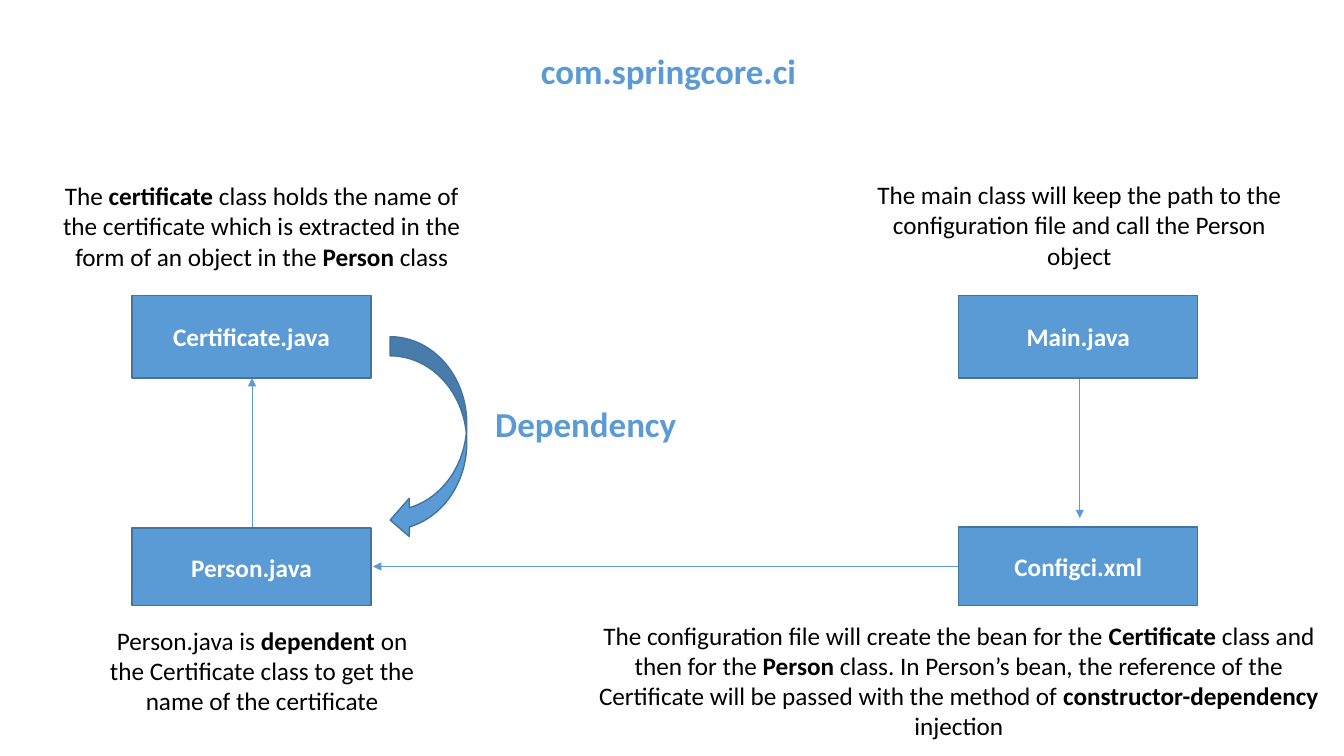
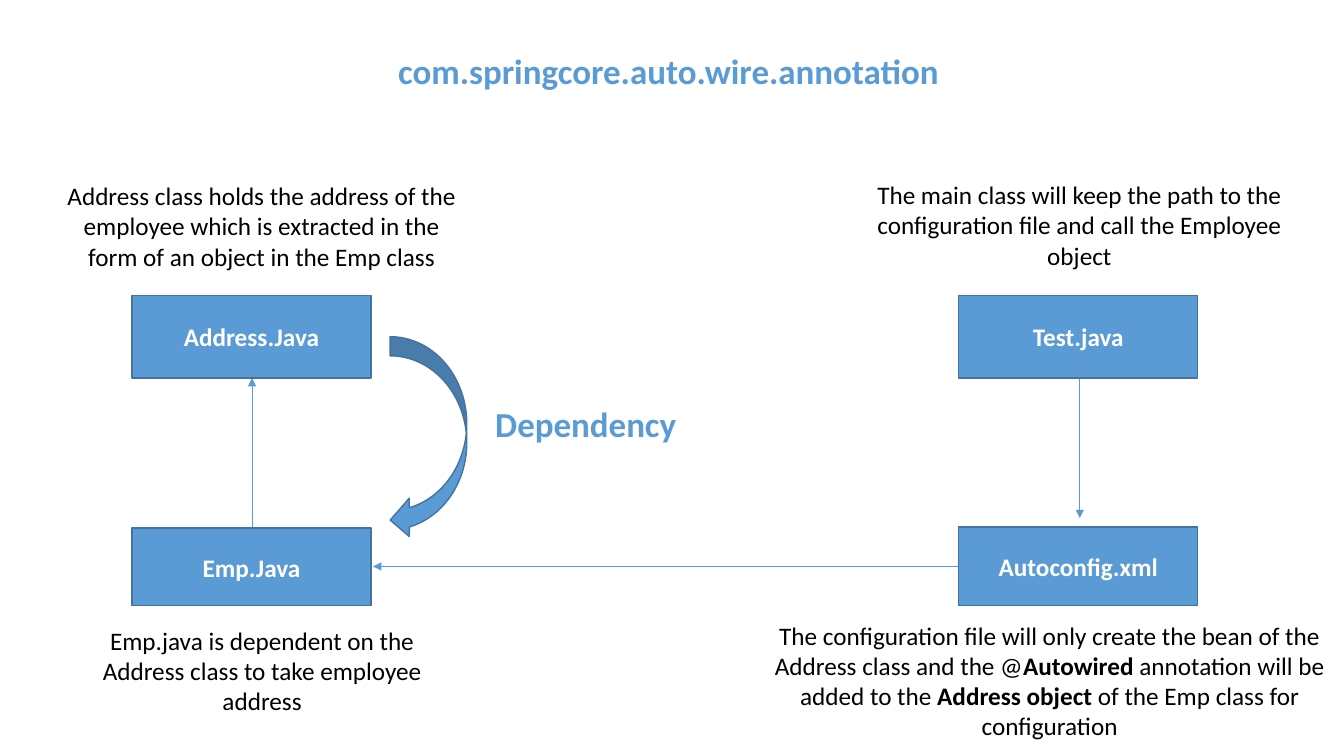
from dataclasses import dataclass

from lxml.etree import SubElement
from pptx import Presentation
from pptx.dml.color import RGBColor
from pptx.enum.shapes import MSO_CONNECTOR, MSO_SHAPE
from pptx.enum.text import MSO_ANCHOR, MSO_AUTO_SIZE, PP_ALIGN
from pptx.oxml.ns import qn
from pptx.shapes.autoshape import Shape
from pptx.slide import Slide
from pptx.util import Inches, Pt

COLORS = {"accent": "5B9BD5", "outline": "43739E", "box_text": "FFFFFF", "body": "000000"}
FONT = "Calibri"
BOLD_MARK = "*"
BOX_WIDTH = 2.37


@dataclass(frozen=True)
class Area:
    """Place and size in inches."""
    left: float
    top: float
    width: float
    height: float

    def lengths(self) -> tuple[Inches, Inches, Inches, Inches]:
        """Return the four lengths that python-pptx expects."""
        return Inches(self.left), Inches(self.top), Inches(self.width), Inches(self.height)


@dataclass(frozen=True)
class TextStyle:
    """Look of a text."""
    size: float
    color: str
    bold: bool = False
    line_spacing: float | None = None


@dataclass(frozen=True)
class Node:
    """A file box and its caption; bold words stand between asterisks."""
    name: str
    caption: str
    caption_area: Area


@dataclass(frozen=True)
class Arrow:
    """A straight arrow between two points in inches."""
    start: tuple[float, float]
    end: tuple[float, float]


@dataclass(frozen=True)
class Diagram:
    """One slide: its title and nodes in the order of BOX_AREAS."""
    title: str
    nodes: tuple[Node, Node, Node, Node]


HEADING = TextStyle(25, "accent", bold=True, line_spacing=0.9)
BOX_LABEL = TextStyle(18, "box_text", bold=True)
CAPTION = TextStyle(18, "body")

TITLE_AREA = Area(0.88, 0, 11.5, 1.45)
DEPENDENCY_AREA = Area(4.28, 3.5, 3.06, 1.45)
CURVED_ARROW_AREA = Area(3.87, 3.34, 0.76, 2.01)
BOX_AREAS = (
    Area(1.31, 2.93, BOX_WIDTH, 0.82),
    Area(1.31, 5.24, BOX_WIDTH, 0.77),
    Area(9.51, 2.93, BOX_WIDTH, 0.82),
    Area(9.51, 5.23, BOX_WIDTH, 0.78),
)
ARROWS = (
    Arrow((10.71, 3.13), (10.71, 5.14)),
    Arrow((9.51, 5.62), (3.7, 5.62)),
    Arrow((2.5, 5.62), (2.5, 3.75)),
)
HELD_CAPTION = Area(0.47, 1.74, 4.25, 1.01)
DEPENDENT_CAPTION = Area(0.88, 6.15, 3.44, 1.01)
MAIN_CAPTION = Area(8.58, 1.73, 4.25, 1.01)

DIAGRAMS = (
    Diagram("com.springcore.ci", (
        Node("Certificate.java",
             "The *certificate* class holds the name of the certificate which is "
             "extracted in the form of an object in the *Person* class", HELD_CAPTION),
        Node("Person.java",
             "Person.java is *dependent* on the Certificate class to get the name "
             "of the certificate", DEPENDENT_CAPTION),
        Node("Main.java",
             "The main class will keep the path to the configuration file and call "
             "the Person object", MAIN_CAPTION),
        Node("Configci.xml",
             "The configuration file will create the bean for the *Certificate* class "
             "and then for the *Person* class. In Person’s bean, the reference of the "
             "Certificate will be passed with the method of *constructor-dependency* "
             "injection", Area(5.74, 6.1, 7.54, 1.31)),
    )),
    Diagram("com.springcore.auto.wire.annotation", (
        Node("Address.Java",
             "Address class holds the address of the employee which is extracted in "
             "the form of an object in the Emp class", HELD_CAPTION),
        Node("Emp.Java",
             "Emp.java is dependent on the Address class to take employee address",
             DEPENDENT_CAPTION),
        Node("Test.java",
             "The main class will keep the path to the configuration file and call "
             "the Employee object", MAIN_CAPTION),
        Node("Autoconfig.xml",
             "The configuration file will only create the bean of the Address class "
             "and the @*Autowired* annotation will be added to the *Address object* "
             "of the Emp class for configuration", Area(7.55, 6.1, 5.72, 1.31)),
    )),
)


def color(name: str) -> RGBColor:
    """Look up a shared colour."""
    return RGBColor.from_string(COLORS[name])


def write_text(shape: Shape, text: str, style: TextStyle) -> None:
    """Write one centred paragraph, run by run."""
    frame = shape.text_frame
    frame.word_wrap = True
    paragraph = frame.paragraphs[0]
    paragraph.alignment = PP_ALIGN.CENTER
    paragraph.line_spacing = style.line_spacing
    for index, part in enumerate(text.split(BOLD_MARK)):
        span = paragraph.add_run()
        span.text = part
        span.font.name = FONT
        span.font.size = Pt(style.size)
        span.font.bold = style.bold or index % 2 == 1
        span.font.color.rgb = color(style.color)


def add_heading(page: Slide, text: str, area: Area) -> None:
    """Add a blue heading, centred in its area."""
    box = page.shapes.add_textbox(*area.lengths())
    write_text(box, text, HEADING)
    box.text_frame.vertical_anchor = MSO_ANCHOR.MIDDLE


def add_caption(page: Slide, text: str, area: Area) -> None:
    """Add an explanation that grows with its text."""
    box = page.shapes.add_textbox(*area.lengths())
    write_text(box, text, CAPTION)
    box.text_frame.auto_size = MSO_AUTO_SIZE.SHAPE_TO_FIT_TEXT


def add_filled_shape(page: Slide, preset: MSO_SHAPE, area: Area) -> Shape:
    """Add a blue shape with a darker outline."""
    shape = page.shapes.add_shape(preset, *area.lengths())
    shape.shadow.inherit = False
    shape.fill.solid()
    shape.fill.fore_color.rgb = color("accent")
    shape.line.color.rgb = color("outline")
    shape.line.width = Pt(1)
    return shape


def add_file_box(page: Slide, name: str, area: Area) -> None:
    """Add a rectangle labelled with a file name."""
    box = add_filled_shape(page, MSO_SHAPE.RECTANGLE, area)
    write_text(box, name, BOX_LABEL)
    box.text_frame.vertical_anchor = MSO_ANCHOR.MIDDLE


def add_arrow(page: Slide, arrow: Arrow) -> None:
    """Add a thin connector with a triangle at its end."""
    points = [Inches(value) for value in arrow.start + arrow.end]
    connector = page.shapes.add_connector(MSO_CONNECTOR.STRAIGHT, *points)
    connector.line.color.rgb = color("accent")
    connector.line.width = Pt(0.5)
    SubElement(connector.line._get_or_add_ln(), qn("a:tailEnd"), type="triangle")
    SubElement(connector._element.spPr, qn("a:effectLst"))


def add_diagram(deck: Presentation, diagram: Diagram) -> None:
    """Add one slide with its boxes, arrows and captions."""
    page = deck.slides.add_slide(deck.slide_layouts[6])
    add_heading(page, diagram.title, TITLE_AREA)
    for arrow in ARROWS:
        add_arrow(page, arrow)
    for node, area in zip(diagram.nodes, BOX_AREAS):
        add_file_box(page, node.name, area)
        add_caption(page, node.caption, node.caption_area)
    add_filled_shape(page, MSO_SHAPE.CURVED_LEFT_ARROW, CURVED_ARROW_AREA)
    add_heading(page, "Dependency", DEPENDENCY_AREA)


def main() -> None:
    """Build and save the deck."""
    deck = Presentation()
    deck.slide_width, deck.slide_height = Inches(13.33), Inches(7.5)
    for diagram in DIAGRAMS:
        add_diagram(deck, diagram)
    deck.save("out.pptx")


main()
